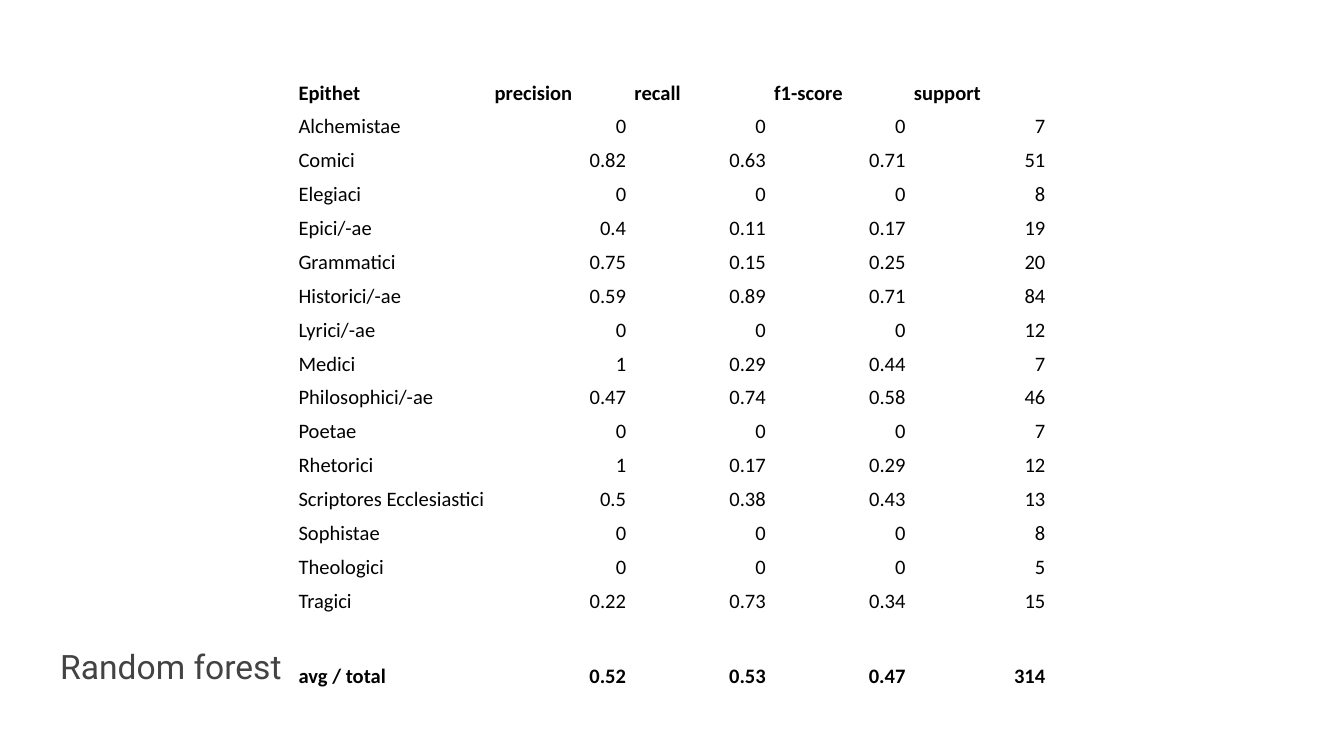
"""Build a slide with the random forest scores for each epithet."""
from dataclasses import dataclass

from pptx import Presentation
from pptx.dml.color import RGBColor
from pptx.enum.text import MSO_ANCHOR, PP_ALIGN
from pptx.slide import Slide
from pptx.table import Table, _Cell
from pptx.util import Inches, Pt


@dataclass(frozen=True)
class Theme:
    ink: RGBColor = RGBColor(0, 0, 0)
    grey: RGBColor = RGBColor(0x43, 0x43, 0x43)
    paper: RGBColor = RGBColor(255, 255, 255)
    body: str = "Calibri"
    head: str = "Roboto"
    small: int = 11
    large: int = 18


@dataclass(frozen=True)
class Score:
    label: str
    values: tuple[str, ...]
    bold: bool = False
    align: PP_ALIGN = PP_ALIGN.RIGHT


THEME = Theme()
WIDTHS = (1.46, 1.04, 1.04, 1.04, 1.04)
ROW, GAP = 0.22, 0.31
SIDE, EDGE = 2.25 / 72, 1.5 / 72
SCORES = (
    Score("Epithet", ("precision", "recall", "f1-score", "support"), True, PP_ALIGN.LEFT),
    Score("Alchemistae", ("0", "0", "0", "7")),
    Score("Comici", ("0.82", "0.63", "0.71", "51")),
    Score("Elegiaci", ("0", "0", "0", "8")),
    Score("Epici/-ae", ("0.4", "0.11", "0.17", "19")),
    Score("Grammatici", ("0.75", "0.15", "0.25", "20")),
    Score("Historici/-ae", ("0.59", "0.89", "0.71", "84")),
    Score("Lyrici/-ae", ("0", "0", "0", "12")),
    Score("Medici", ("1", "0.29", "0.44", "7")),
    Score("Philosophici/-ae", ("0.47", "0.74", "0.58", "46")),
    Score("Poetae", ("0", "0", "0", "7")),
    Score("Rhetorici", ("1", "0.17", "0.29", "12")),
    Score("Scriptores Ecclesiastici", ("0.5", "0.38", "0.43", "13")),
    Score("Sophistae", ("0", "0", "0", "8")),
    Score("Theologici", ("0", "0", "0", "5")),
    Score("Tragici", ("0.22", "0.73", "0.34", "15")),
    Score("", ("",) * 4),
    Score("avg / total", ("0.52", "0.53", "0.47", "314"), True),
)


def fill_cell(cell: _Cell, text: str, align: PP_ALIGN, bold: bool) -> None:
    cell.fill.background()
    cell.vertical_anchor = MSO_ANCHOR.BOTTOM
    cell.margin_left = cell.margin_right = Inches(SIDE)
    cell.margin_top = cell.margin_bottom = Inches(EDGE)
    para = cell.text_frame.paragraphs[0]
    if not text:
        para._p.get_or_add_endParaRPr().set("sz", str(THEME.small * 100))
        return
    para.text = text
    para.alignment = align
    para.line_spacing = 1.15
    font = para.runs[0].font
    font.name, font.size, font.bold = THEME.body, Pt(THEME.small), bold
    font.color.rgb = THEME.ink


def fill_row(table: Table, index: int, score: Score) -> None:
    table.rows[index].height = Inches(ROW if score.label else GAP)
    fill_cell(table.cell(index, 0), score.label, PP_ALIGN.LEFT, score.bold)
    for col, value in enumerate(score.values, 1):
        fill_cell(table.cell(index, col), value, score.align, score.bold)


def add_scores(slide: Slide) -> None:
    frame = slide.shapes.add_table(
        len(SCORES), len(WIDTHS), Inches(2.19), Inches(0.55),
        Inches(sum(WIDTHS)), Inches(ROW * len(SCORES)))
    table = frame.table
    table.first_row = table.horz_banding = False
    for column, width in zip(table.columns, WIDTHS):
        column.width = Inches(width)
    for index, score in enumerate(SCORES):
        fill_row(table, index, score)


def add_title(slide: Slide, text: str) -> None:
    box = slide.shapes.add_textbox(Inches(0.35), Inches(4.63), Inches(6.56), Inches(0.65))
    frame = box.text_frame
    frame.word_wrap = True
    frame.vertical_anchor = MSO_ANCHOR.MIDDLE
    frame.margin_left = frame.margin_right = Inches(0.1)
    frame.margin_top = frame.margin_bottom = Inches(0.1)
    frame.text = text
    font = frame.paragraphs[0].runs[0].font
    font.name, font.size = THEME.head, Pt(THEME.large)
    font.color.rgb = THEME.grey


def main() -> None:
    deck = Presentation()
    deck.slide_width, deck.slide_height = Inches(10), Inches(10 * 9 / 16)
    slide = deck.slides.add_slide(deck.slide_layouts[6])
    slide.background.fill.solid()
    slide.background.fill.fore_color.rgb = THEME.paper
    add_title(slide, "Random forest")
    add_scores(slide)
    deck.save("out.pptx")


if __name__ == "__main__":
    main()
